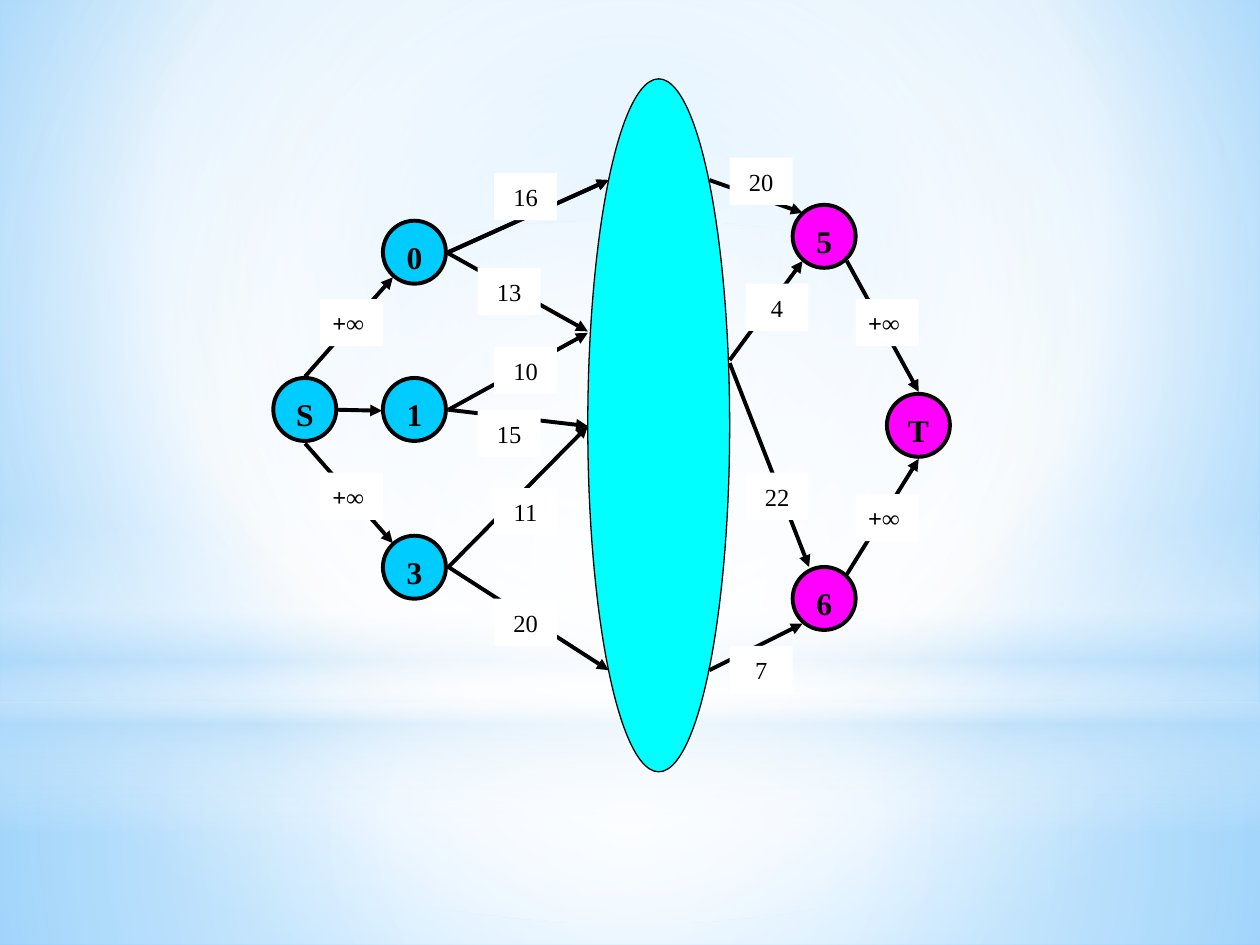
from dataclasses import dataclass
from typing import Optional

from lxml.etree import SubElement
from pptx import Presentation
from pptx.dml.color import RGBColor
from pptx.enum.shapes import MSO_CONNECTOR, MSO_SHAPE
from pptx.enum.text import MSO_ANCHOR, PP_ALIGN
from pptx.oxml import parse_xml
from pptx.oxml.ns import nsdecls, qn
from pptx.util import Cm, Pt

COLORS = {
    "ink": "000000", "white": "FFFFFF", "source": "00CCFF", "sink": "FF00FF",
    "hub": "00FFFF", "sky": "9ED5FF", "deep": "5BB9FF", "haze": "B4DCFA",
}
FONT = "Times New Roman"
INFINITE = "+∞"
NODE_SIZE = 1.27
LABEL_HEIGHT = 0.95
SLIDE_WIDTH, SLIDE_HEIGHT, HORIZON = 25.4, 19.05, 14.17

Point = tuple[float, float]
Box = tuple[float, float, float, float]


@dataclass(frozen=True)
class Gradient:
    """Stops are (position, colour, opacity) in percent; center is left, top, right, bottom
    of the inner circle, and without one the gradient runs downwards."""
    stops: tuple[tuple[int, str, int], ...]
    center: Optional[tuple[int, int, int, int]] = None


@dataclass(frozen=True)
class Backdrop:
    preset: MSO_SHAPE
    box: Box
    gradient: Gradient


@dataclass(frozen=True)
class Node:
    name: str
    corner: Point
    color: str


@dataclass(frozen=True)
class Edge:
    start: Point
    end: Point
    capacity: str = ""
    label_corner: Point = (0, 0)


MIDDLE = (50, 50, 50, 50)
SKY = Gradient(((0, "sky", 100), (60, "white", 100), (100, "deep", 100)), (20, 10, 20, 60))
BACKDROPS = [
    Backdrop(MSO_SHAPE.RECTANGLE, (0, HORIZON, SLIDE_WIDTH, SLIDE_HEIGHT - HORIZON),
             Gradient(((0, "white", 91), (37, "white", 76), (100, "haze", 79)), MIDDLE)),
    Backdrop(MSO_SHAPE.RECTANGLE, (0, 0, SLIDE_WIDTH, HORIZON),
             Gradient(((0, "white", 89), (48, "white", 62), (100, "haze", 79)), MIDDLE)),
    Backdrop(MSO_SHAPE.RECTANGLE, (0, 10.46, SLIDE_WIDTH, 6.35),
             Gradient(((0, "white", 0), (29, "white", 30), (45, "haze", 40),
                       (55, "white", 26), (65, "haze", 60), (100, "white", 0)))),
    Backdrop(MSO_SHAPE.OVAL, (0, 4.45, SLIDE_WIDTH, HORIZON),
             Gradient(((0, "white", 100), (56, "white", 0)), MIDDLE)),
]

HUB_BOX = (11.85, 1.59, 2.86, 13.97)
NODES = [
    Node("S", (5.51, 7.62), "source"),
    Node("0", (7.72, 4.45), "source"),
    Node("1", (7.72, 7.62), "source"),
    Node("3", (7.72, 10.8), "source"),
    Node("5", (15.98, 4.13), "sink"),
    Node("6", (15.98, 11.43), "sink"),
    Node("T", (17.88, 7.94), "sink"),
]
EDGES = [
    # from S
    Edge((6.15, 7.59), (7.92, 5.59), INFINITE, (6.45, 6.03)),
    Edge((6.81, 8.26), (7.7, 8.28)),
    Edge((6.15, 8.94), (7.92, 10.95), INFINITE, (6.45, 9.53)),
    # into the hub
    Edge((8.99, 5.11), (12.27, 3.63)),
    Edge((9.04, 5.08), (12.27, 3.63), "16", (9.96, 3.49)),
    Edge((8.99, 5.08), (11.85, 6.68), "13", (9.63, 5.4)),
    Edge((9.04, 8.26), (11.85, 6.71), "10", (9.96, 6.99)),
    Edge((9.04, 8.26), (11.85, 8.59), "15", (9.63, 8.26)),
    Edge((9.04, 11.43), (11.85, 8.59), "11", (9.96, 9.84)),
    Edge((9.04, 11.43), (12.27, 13.51), "20", (9.96, 12.07)),
    # out of the hub
    Edge((14.3, 3.63), (16.18, 4.29), "20", (14.71, 3.18)),
    Edge((14.71, 7.26), (16.18, 5.26), "4", (15.03, 5.72)),
    Edge((14.71, 7.32), (16.31, 11.43), "22", (15.03, 9.53)),
    Edge((14.3, 13.51), (16.18, 12.57), "7", (14.71, 13.02)),
    # to T
    Edge((17.07, 5.26), (18.52, 7.9), INFINITE, (17.25, 6.03)),
    Edge((17.07, 11.58), (18.52, 9.25), INFINITE, (17.25, 9.96)),
]


def rgb(color: str) -> RGBColor:
    return RGBColor.from_string(COLORS[color])


def apply_gradient(properties, gradient: Gradient) -> None:
    """Put the gradient where the solid fill of the properties element stands."""
    stops = "".join(
        f'<a:gs pos="{position * 1000}"><a:srgbClr val="{COLORS[color]}">'
        f'<a:alpha val="{opacity * 1000}"/></a:srgbClr></a:gs>'
        for position, color, opacity in gradient.stops)
    if gradient.center:
        sides = " ".join(f'{side}="{percent * 1000}"'
                         for side, percent in zip("ltrb", gradient.center))
        direction = f'<a:path path="circle"><a:fillToRect {sides}/></a:path>'
    else:
        direction = '<a:lin ang="5400000" scaled="0"/>'
    solid = properties.find(qn("a:solidFill"))
    properties.replace(solid, parse_xml(
        f'<a:gradFill {nsdecls("a")} rotWithShape="1"><a:gsLst>{stops}</a:gsLst>'
        f'{direction}</a:gradFill>'))


def add_filled(slide, preset: MSO_SHAPE, box: Box, color: str, line_width: float = 0):
    shape = slide.shapes.add_shape(preset, *map(Cm, box))
    shape.shadow.inherit = False
    shape.fill.solid()
    shape.fill.fore_color.rgb = rgb(color)
    if line_width:
        shape.line.color.rgb = rgb("ink")
        shape.line.width = Pt(line_width)
    else:
        shape.line.fill.background()
    return shape


def write(shape, text: str, size: int, bold: bool, align: PP_ALIGN) -> None:
    frame = shape.text_frame
    frame.word_wrap = True
    frame.vertical_anchor = MSO_ANCHOR.MIDDLE
    paragraph = frame.paragraphs[0]
    paragraph.alignment = align
    run = paragraph.add_run()
    run.text = text
    run.font.name = FONT
    run.font.size = Pt(size)
    run.font.bold = bold
    run.font.color.rgb = rgb("ink")


def add_node(slide, node: Node) -> None:
    circle = add_filled(slide, MSO_SHAPE.OVAL, (*node.corner, NODE_SIZE, NODE_SIZE),
                        node.color, 2.25)
    write(circle, node.name, 18, True, PP_ALIGN.CENTER)
    frame = circle.text_frame
    frame.margin_left = frame.margin_right = 0
    frame.margin_top = Cm(0.32)


def add_arrow(slide, edge: Edge) -> None:
    arrow = slide.shapes.add_connector(
        MSO_CONNECTOR.STRAIGHT, *map(Cm, (*edge.start, *edge.end)))
    arrow.line.color.rgb = rgb("ink")
    arrow.line.width = Pt(2.25)
    SubElement(arrow.line._get_or_add_ln(), qn("a:tailEnd"), type="triangle")
    SubElement(arrow.element.spPr, qn("a:effectLst"))


def add_capacity(slide, edge: Edge) -> None:
    label = add_filled(slide, MSO_SHAPE.RECTANGLE,
                       (*edge.label_corner, NODE_SIZE, LABEL_HEIGHT), "white")
    infinite = edge.capacity == INFINITE
    write(label, edge.capacity, 14, infinite,
          PP_ALIGN.LEFT if infinite else PP_ALIGN.CENTER)


def main() -> None:
    deck = Presentation()
    deck.slide_width, deck.slide_height = Cm(SLIDE_WIDTH), Cm(SLIDE_HEIGHT)
    slide = deck.slides.add_slide(deck.slide_layouts[6])

    slide.background.fill.solid()
    apply_gradient(slide.element.find(f".//{qn('p:bgPr')}"), SKY)
    for backdrop in BACKDROPS:
        panel = add_filled(slide, backdrop.preset, backdrop.box, "white")
        apply_gradient(panel.element.spPr, backdrop.gradient)

    add_filled(slide, MSO_SHAPE.OVAL, HUB_BOX, "hub", 0.75)
    for node in NODES:
        add_node(slide, node)
    for edge in EDGES:
        add_arrow(slide, edge)
    for edge in EDGES:
        if edge.capacity:
            add_capacity(slide, edge)

    deck.save("out.pptx")


if __name__ == "__main__":
    main()
